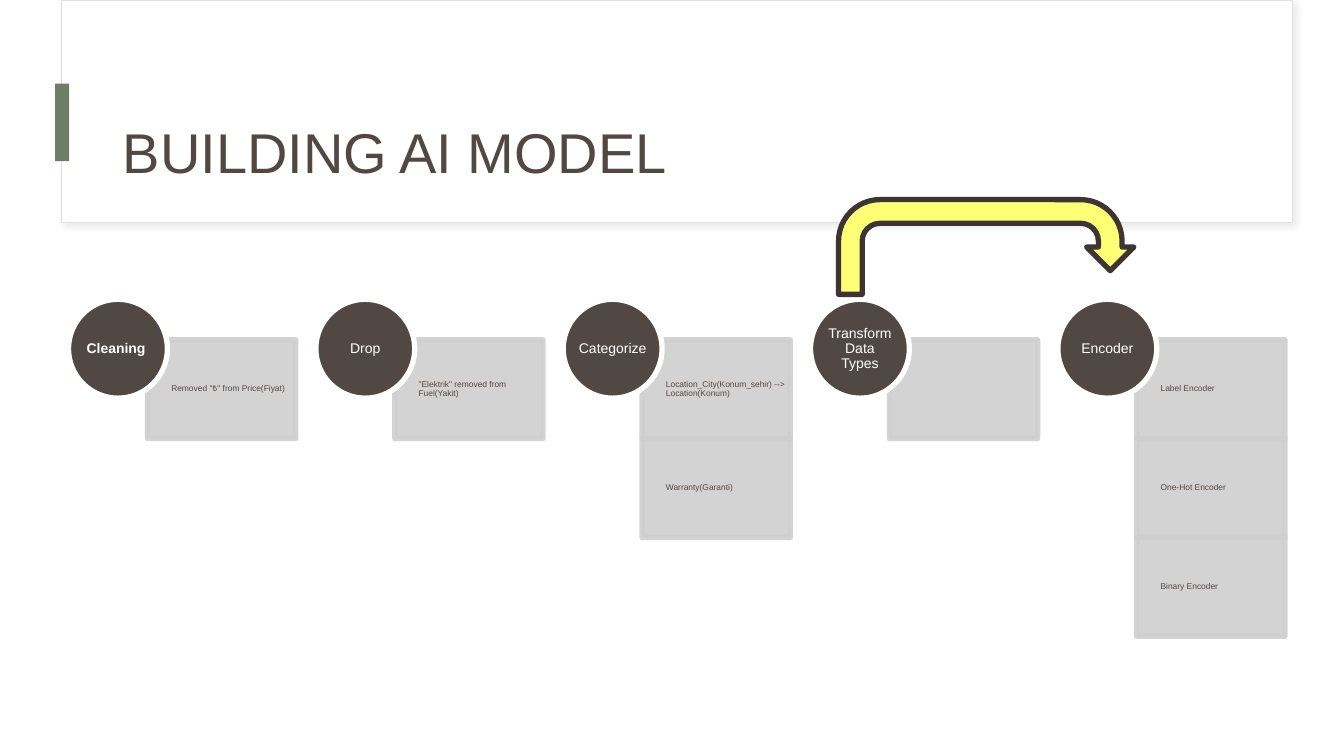
from dataclasses import dataclass

from pptx import Presentation
from pptx.dml.color import RGBColor
from pptx.enum.shapes import MSO_SHAPE
from pptx.enum.text import MSO_ANCHOR, PP_ALIGN
from pptx.oxml import parse_xml
from pptx.oxml.ns import nsdecls, qn
from pptx.oxml.xmlchemy import OxmlElement
from pptx.util import Pt


@dataclass(frozen=True)
class Theme:
    font: str = "Arial"
    white: str = "FFFFFF"
    brown: str = "514843"
    green: str = "6D7D66"
    card: str = "D0CFCF"
    frame: str = "E1E1E1"
    shade: str = "D9D9D9"
    yellow: str = "FFFF76"
    dark: str = "3C3532"
    title: float = 40
    step: float = 10
    note: float = 6
    thin: float = 0.75
    thick: float = 3.78


THEME = Theme()

# Each step: name, bold, notes on its cards
STEPS = [
    ("Cleaning ", True, ['Removed "₺" from Price(Fiyat)']),
    ("Drop", False, ['"Elektrik" removed from Fuel(Yakit)']),
    ("Categorize", False,
     ["Location_City(Konum_sehir) --> Location(Konum)", "Warranty(Garanti)"]),
    ("Transform Data Types", False, [""]),
    ("Encoder", False, ["Label Encoder", "One-Hot Encoder", "Binary Encoder"]),
]
LEFT, PITCH = 48.95, 176.67
DISC, DISC_TOP = 70.6, 213.8
CARD_IN, CARD_TOP = 56.4, 242.7
CARD_W, CARD_H = 105.9, 70.6


def add_box(slide, kind, x, y, w, h, fill, line=None, width=THEME.thin):
    shape = slide.shapes.add_shape(kind, Pt(x), Pt(y), Pt(w), Pt(h))
    shape.shadow.inherit = False
    shape.fill.solid()
    shape.fill.fore_color.rgb = RGBColor.from_string(fill)
    if line:
        shape.line.color.rgb = RGBColor.from_string(line)
        shape.line.width = Pt(width)
    else:
        shape.line.fill.background()
    return shape


def add_text(shape, text, size, color, inset, align=PP_ALIGN.LEFT,
             anchor=MSO_ANCHOR.MIDDLE, bold=False):
    """Fill a shape with one run; inset is left, top, right, bottom."""
    frame = shape.text_frame
    frame.word_wrap = True
    frame.vertical_anchor = anchor
    (frame.margin_left, frame.margin_top,
     frame.margin_right, frame.margin_bottom) = map(Pt, inset)
    para = frame.paragraphs[0]
    para.alignment = align
    para.line_spacing = 0.9
    run = para.add_run()
    run.text = text
    run.font.name = THEME.font
    run.font.size = Pt(size)
    run.font.bold = bold
    run.font.color.rgb = RGBColor.from_string(color)


def fade(shape, percent):
    """Make fill and line partly opaque."""
    for color in shape._element.spPr.iter(qn("a:srgbClr")):
        alpha = OxmlElement("a:alpha")
        alpha.set("val", str(percent * 1000))
        color.append(alpha)


def cast_shadow(shape):
    effects = shape._element.spPr.find(qn("a:effectLst"))
    effects.append(parse_xml(
        f'<a:outerShdw {nsdecls("a")} blurRad="{Pt(4)}" dist="{Pt(3)}" '
        f'dir="{45 * 60000}" algn="tl" rotWithShape="0">'
        f'<a:srgbClr val="{THEME.shade}"><a:alpha val="50000"/></a:srgbClr>'
        '</a:outerShdw>'))


def add_header(slide):
    panel = add_box(slide, MSO_SHAPE.RECTANGLE, 44.2, 0, 879, 159,
                    THEME.white, THEME.frame)
    cast_shadow(panel)
    title = slide.shapes.add_textbox(Pt(87.8), Pt(43.2), Pt(800.6), Pt(92.9))
    add_text(title, "BUILDING AI MODEL", THEME.title, THEME.brown,
             (0, 3.6, 0, 3.6), anchor=MSO_ANCHOR.BOTTOM)
    add_box(slide, MSO_SHAPE.RECTANGLE, 39.4, 59.8, 10.1, 55.4, THEME.green)


def add_step(slide, x, name, bold, notes):
    """Stack the cards of a step and overlap the first with its disc."""
    for row, note in enumerate(notes):
        card = add_box(slide, MSO_SHAPE.RECTANGLE, x + CARD_IN,
                       CARD_TOP + row * CARD_H, CARD_W, CARD_H,
                       THEME.card, THEME.card, THEME.thick)
        fade(card, 90)
        if note:
            add_text(card, note, THEME.note, THEME.brown, (17, 3.6, 3.4, 3.6))
    disc = add_box(slide, MSO_SHAPE.OVAL, x, DISC_TOP, DISC, DISC,
                   THEME.brown, THEME.white, THEME.thick)
    add_text(disc, name, THEME.step, THEME.white, (0, 0, 0, 0),
             align=PP_ALIGN.CENTER, bold=bold)


def main():
    deck = Presentation()
    deck.slide_width, deck.slide_height = Pt(960), Pt(540)
    slide = deck.slides.add_slide(deck.slide_layouts[6])
    add_header(slide)
    for col, step in enumerate(STEPS):
        add_step(slide, LEFT + col * PITCH, *step)
    add_box(slide, MSO_SHAPE.U_TURN_ARROW, 599, 142.6, 211, 67.7,
            THEME.yellow, THEME.dark, THEME.thick)
    deck.save("out.pptx")


if __name__ == "__main__":
    main()
